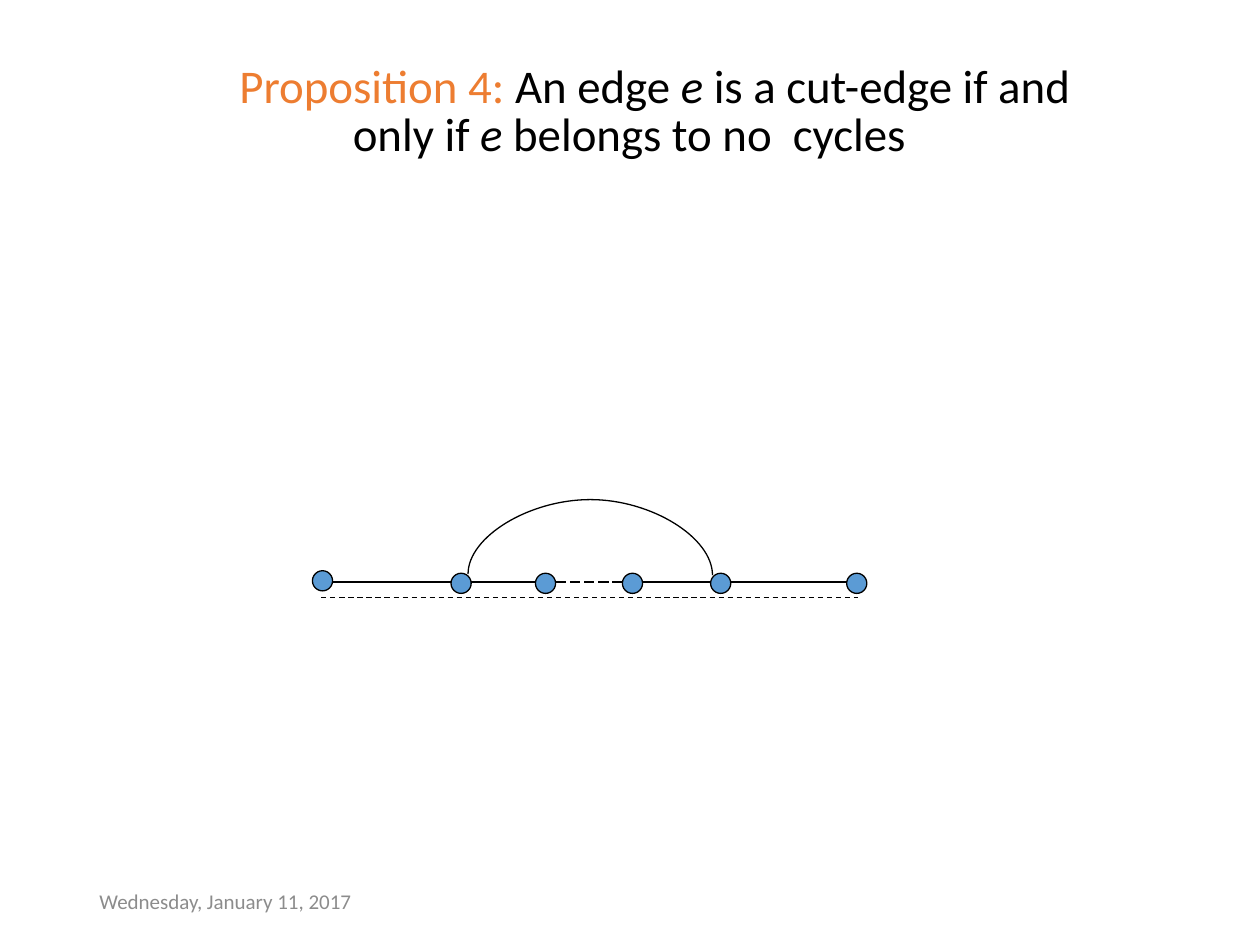
from lxml.etree import SubElement
from pptx import Presentation
from pptx.dml.color import RGBColor
from pptx.enum.dml import MSO_LINE
from pptx.enum.shapes import MSO_CONNECTOR, MSO_SHAPE
from pptx.enum.text import MSO_ANCHOR, MSO_AUTO_SIZE, PP_ALIGN
from pptx.oxml.ns import qn
from pptx.util import Inches, Pt

BLACK, ORANGE, BLUE, GRAY = "000000", "ED7D31", "5B9BD5", "8C8C8C"
TITLE = [
    ("Proposition 4: ", ORANGE, False),
    ("An edge", BLACK, False),
    (" e ", BLACK, True),
    ("is a cut-edge if and only if ", BLACK, False),
    ("e ", BLACK, True),
    ("belongs to no  cycles", BLACK, False),
]
DATE = [("Wednesday, January 11, 2017", GRAY, False)]
NODES = [(2.48, 4.53), (3.58, 4.55), (4.25, 4.55), (4.94, 4.55), (5.64, 4.55), (6.72, 4.55)]
DIAMETER = 0.16
EDGE_Y = 4.62
EDGE_DASHES = [None, None, MSO_LINE.LONG_DASH, None, None]
WALK = (2.55, 4.74, 6.81, 4.74)
ARC = (4.68, 5.53, 4.69, 3.59)
ARC_BULGE = -6000000


def color(hex_value):
    """Return the colour for a hex string."""
    return RGBColor.from_string(hex_value)


def write(shape, runs, size, spacing=1.0, hanging=0):
    """Fill a shape with one left-aligned paragraph of formatted runs."""
    frame = shape.text_frame
    frame.word_wrap = True
    frame.auto_size = MSO_AUTO_SIZE.NONE
    frame.vertical_anchor = MSO_ANCHOR.MIDDLE
    paragraph = frame.paragraphs[0]
    paragraph.alignment = PP_ALIGN.LEFT
    paragraph.line_spacing = spacing
    if hanging:
        properties = paragraph._p.get_or_add_pPr()
        properties.set("marL", str(Inches(hanging)))
        properties.set("indent", str(-Inches(hanging)))
    for text, hex_value, italic in runs:
        run = paragraph.add_run()
        run.text = text
        run.font.name = "Calibri"
        run.font.size = Pt(size)
        run.font.italic = italic
        run.font.color.rgb = color(hex_value)


def add_node(slide, left, top):
    """Draw one vertex of the graph."""
    node = slide.shapes.add_shape(
        MSO_SHAPE.OVAL, Inches(left), Inches(top), Inches(DIAMETER), Inches(DIAMETER))
    node.shadow.inherit = False
    node.fill.solid()
    node.fill.fore_color.rgb = color(BLUE)
    node.line.color.rgb = color(BLACK)
    node.line.width = Pt(0.75)


def add_line(slide, points, dash=None, kind=MSO_CONNECTOR.STRAIGHT):
    """Draw a thin black connector between two points."""
    line = slide.shapes.add_connector(kind, *map(Inches, points))
    line.line.color.rgb = color(BLACK)
    line.line.width = Pt(0.75)
    if dash:
        line.line.dash_style = dash
    SubElement(line._element.spPr, qn("a:effectLst"))
    return line


def add_arc(slide):
    """Draw the curved edge that closes the cycle."""
    arc = add_line(slide, ARC, kind=MSO_CONNECTOR.CURVE)
    properties = arc._element.spPr
    properties.find(qn("a:xfrm")).set("rot", "5400000")
    adjustments = properties.find(qn("a:prstGeom")).find(qn("a:avLst"))
    SubElement(adjustments, qn("a:gd"), name="adj1", fmla=f"val {ARC_BULGE}")


def main():
    """Build and save the slide."""
    presentation = Presentation()
    presentation.slide_width, presentation.slide_height = Inches(10), Inches(7.5)
    slide = presentation.slides.add_slide(presentation.slide_layouts[5])
    title = slide.shapes.title
    title.left, title.top, title.width, title.height = map(Inches, (1.8, 0.36, 7.11, 1.08))
    write(title, TITLE, 26.8, spacing=0.85, hanging=0.9)
    for node in NODES:
        add_node(slide, *node)
    for (start, _), (end, _), dash in zip(NODES, NODES[1:], EDGE_DASHES):
        add_line(slide, (start + DIAMETER, EDGE_Y, end, EDGE_Y), dash)
    add_line(slide, WALK, MSO_LINE.DASH)
    add_arc(slide)
    date = slide.shapes.add_textbox(*map(Inches, (0.69, 6.95, 2.25, 0.4)))
    write(date, DATE, 12)
    presentation.save("out.pptx")


if __name__ == "__main__":
    main()
